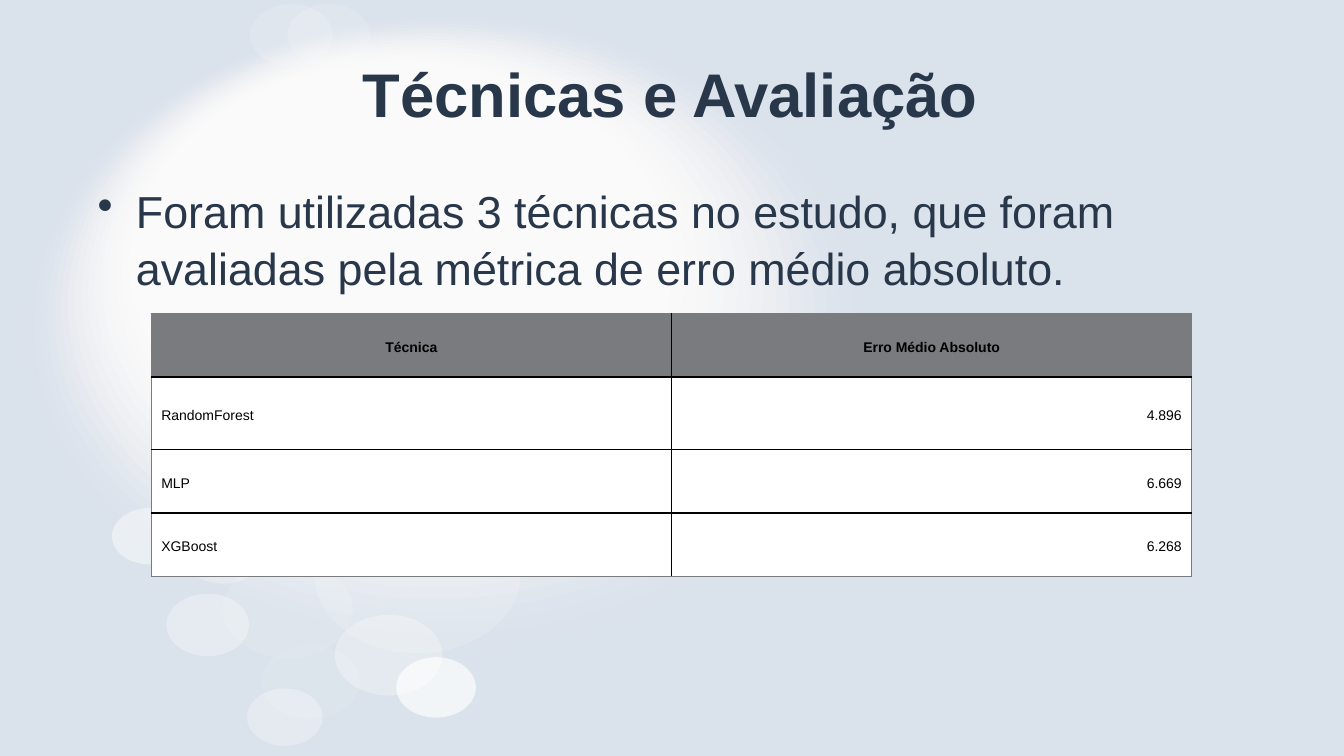
from lxml import etree
from pptx import Presentation
from pptx.dml.color import RGBColor
from pptx.enum.shapes import MSO_SHAPE
from pptx.enum.text import MSO_ANCHOR, PP_ALIGN
from pptx.oxml.ns import qn
from pptx.util import Inches, Pt

SKY = RGBColor(0xDA, 0xE2, 0xEB)
WHITE = RGBColor(0xFF, 0xFF, 0xFF)
NAVY = RGBColor(0x28, 0x37, 0x4A)
GRAY = RGBColor(0x79, 0x7B, 0x7E)
BLACK = RGBColor(0, 0, 0)
FONT = "Arial"

GLOW_LAYERS = 16

# left, top, width, height, opacity in percent
BUBBLES = [
    (2.21, 5.56, 1.29, 0.97, 12),
    (3.12, 4.94, 2.04, 1.54, 15),
    (1.11, 5.04, 0.75, 0.56, 45),
    (2.53, 4.78, 0.87, 0.65, 8),
    (1.80, 5.17, 0.83, 0.62, 25),
    (1.65, 5.89, 0.82, 0.62, 33),
    (2.59, 6.40, 0.98, 0.73, 7),
    (2.45, 6.83, 0.75, 0.57, 31),
    (3.93, 6.52, 0.79, 0.60, 67),
    (3.32, 6.10, 1.07, 0.80, 31),
    (2.85, 0.04, 0.82, 0.62, 15),
    (2.48, 0.04, 0.82, 0.62, 16),
]

RESULTS = [
    ("Técnica", "Erro Médio Absoluto"),
    ("RandomForest", "4.896"),
    ("MLP", "6.669"),
    ("XGBoost", "6.268"),
]
ROW_HEIGHTS = [0.63, 0.72, 0.63, 0.63]
COLUMN_WIDTH = 5.16


def add_plain_shape(slide, kind, left, top, width, height, color, opacity=100):
    sp = slide.shapes.add_shape(
        kind, Inches(left), Inches(top), Inches(width), Inches(height))
    sp.shadow.inherit = False
    sp.line.fill.background()
    sp.fill.solid()
    sp.fill.fore_color.rgb = color
    if opacity < 100:
        clr = sp.fill._xPr.find(".//" + qn("a:srgbClr"))
        etree.SubElement(clr, qn("a:alpha"), val=str(round(opacity * 1000)))


def add_backdrop(slide):
    add_plain_shape(slide, MSO_SHAPE.RECTANGLE, 0, 0, 13.33, 7.5, SKY)
    # Soft glow: nested ellipses, each smaller and more opaque
    for i in range(1, GLOW_LAYERS + 1):
        add_plain_shape(
            slide, MSO_SHAPE.OVAL, 0.2 + 1.08 * i / 16, 0.11 + 0.5 * i / 16,
            8.52 - 3.13 * i / 16, 6.41 - 2.36 * i / 16, WHITE, 1.6 * (i + 1))
    for left, top, width, height, opacity in BUBBLES:
        add_plain_shape(slide, MSO_SHAPE.OVAL, left, top, width, height,
                        WHITE, opacity)


def style_paragraph(p, size, color, bold=False, align=PP_ALIGN.LEFT):
    p.alignment = align
    p.font.name = FONT
    p.font.size = Pt(size)
    p.font.bold = bold
    p.font.color.rgb = color


def add_text(slide, text, left, top, width, height, size, **style):
    sp = slide.shapes.add_textbox(
        Inches(left), Inches(top), Inches(width), Inches(height))
    tf = sp.text_frame
    tf.word_wrap = True
    p = tf.paragraphs[0]
    p.text = text
    style_paragraph(p, size, NAVY, **style)
    return tf


def add_bullet(p, indent):
    pPr = p._p.get_or_add_pPr()
    pPr.set("marL", str(Inches(indent)))
    pPr.set("indent", str(-Inches(indent)))
    bullet = etree.Element(qn("a:buChar"), char="•")
    pPr.find(qn("a:defRPr")).addprevious(bullet)


def set_borders(cell, colors):
    tcPr = cell._tc.get_or_add_tcPr()
    for i, (side, color) in enumerate(colors.items()):
        ln = etree.Element(qn("a:ln" + side), w=str(Pt(1)))
        fill = etree.SubElement(ln, qn("a:solidFill"))
        etree.SubElement(fill, qn("a:srgbClr"), val=str(color))
        tcPr.insert(i, ln)


def add_results_table(slide, left, top):
    rows, cols = len(RESULTS), len(RESULTS[0])
    table = slide.shapes.add_table(
        rows, cols, Inches(left), Inches(top),
        Inches(COLUMN_WIDTH * cols), Inches(sum(ROW_HEIGHTS))).table
    for column in table.columns:
        column.width = Inches(COLUMN_WIDTH)
    for r, (height, values) in enumerate(zip(ROW_HEIGHTS, RESULTS)):
        table.rows[r].height = Inches(height)
        header = r == 0
        for c, value in enumerate(values):
            cell = table.cell(r, c)
            cell.fill.solid()
            cell.fill.fore_color.rgb = GRAY if header else WHITE
            cell.vertical_anchor = MSO_ANCHOR.MIDDLE
            p = cell.text_frame.paragraphs[0]
            p.text = value
            p.line_spacing = Pt(14.1)
            body_align = PP_ALIGN.RIGHT if c else PP_ALIGN.LEFT
            style_paragraph(p, 10, BLACK, bold=header,
                            align=PP_ALIGN.CENTER if header else body_align)
            # Gray frame outside, black rules inside
            set_borders(cell, {
                "L": GRAY if c == 0 else BLACK,
                "R": GRAY if c == cols - 1 else BLACK,
                "T": GRAY if r == 0 else BLACK,
                "B": GRAY if r == rows - 1 else BLACK,
            })


def main():
    prs = Presentation()
    prs.slide_width = Inches(13.33)
    prs.slide_height = Inches(7.5)
    slide = prs.slides.add_slide(prs.slide_layouts[6])

    add_backdrop(slide)

    # Title
    tf = add_text(slide, "Técnicas e Avaliação", 0.86, 0.3, 11.58, 1.25, 44,
                  bold=True, align=PP_ALIGN.CENTER)
    tf.vertical_anchor = MSO_ANCHOR.MIDDLE

    # Bullet
    tf = add_text(slide, "Foram utilizadas 3 técnicas no estudo, que foram "
                  "avaliadas pela métrica de erro médio absoluto.",
                  0.87, 1.75, 11.57, 4.95, 32)
    p = tf.paragraphs[0]
    p.line_spacing = 1.05
    add_bullet(p, 0.38)

    # Results
    add_results_table(slide, 1.5, 3.11)

    prs.save("out.pptx")


if __name__ == "__main__":
    main()
